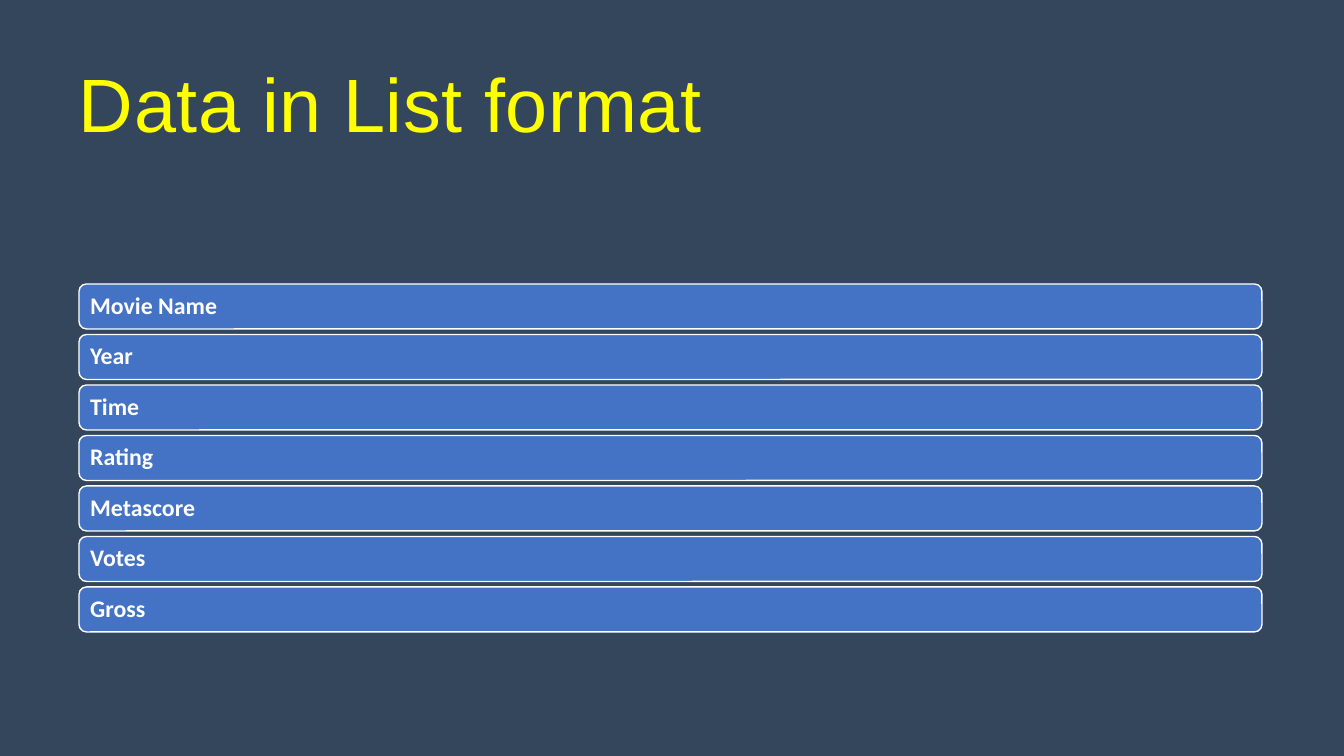
from pptx import Presentation
from pptx.dml.color import RGBColor
from pptx.enum.shapes import MSO_SHAPE
from pptx.enum.text import MSO_ANCHOR, PP_ALIGN
from pptx.util import Emu, Pt

ROUNDED = MSO_SHAPE.ROUNDED_RECTANGLE
TOP, MIDDLE = MSO_ANCHOR.TOP, MSO_ANCHOR.MIDDLE
LEFT = PP_ALIGN.LEFT
BLANK_LAYOUT = 6

SLIDE_WIDTH, SLIDE_HEIGHT = 1344, 756
EMU_PER_PX = 12192000 / SLIDE_WIDTH

MARGIN, CONTENT_WIDTH = 79, 1183
TITLE_TOP, TITLE_HEIGHT = 69, 163
FIRST_ROW_TOP, LAST_ROW_TOP, ROW_HEIGHT = 284, 587, 45

FIELDS = ["Movie Name", "Year", "Time", "Rating", "Metascore", "Votes", "Gross"]


def px(length):
    return Emu(round(length * EMU_PER_PX))


def color(hex_value):
    return RGBColor.from_string(hex_value)


class ListSlide:
    background = "33465B"
    title_color = "FFFF00"
    row_fill = "4472C4"
    row_ink = "FFFFFF"
    title_font = "Arial"
    row_font = "Calibri"

    def __init__(self, deck):
        self.slide = deck.slides.add_slide(deck.slide_layouts[BLANK_LAYOUT])
        fill = self.slide.background.fill
        fill.solid()
        fill.fore_color.rgb = color(self.background)

    def set_text(self, frame, text, font, size, ink, inset, anchor, spacing):
        """Fill a text frame with one left-aligned run and return the run."""
        frame.word_wrap = True
        frame.vertical_anchor = anchor
        frame.margin_left = frame.margin_right = px(inset)
        frame.margin_top = frame.margin_bottom = px(inset)
        paragraph = frame.paragraphs[0]
        paragraph.alignment = LEFT
        paragraph.line_spacing = spacing
        run = paragraph.add_run()
        run.text = text
        run.font.name = font
        run.font.size = Pt(size)
        run.font.color.rgb = color(ink)
        return run

    def title(self, text, left, top, width, height):
        heading = self.slide.shapes.add_textbox(px(left), px(top), px(width), px(height))
        run = self.set_text(heading.text_frame, text, self.title_font, 54,
                            self.title_color, 0, TOP, 0.88)
        run._r.get_or_add_rPr().set("spc", "40")

    def row(self, text, left, top, width, height):
        bar = self.slide.shapes.add_shape(ROUNDED, px(left), px(top), px(width), px(height))
        bar.shadow.inherit = False
        bar.fill.solid()
        bar.fill.fore_color.rgb = color(self.row_fill)
        bar.line.color.rgb = color(self.row_ink)
        bar.line.width = Pt(1)
        run = self.set_text(bar.text_frame, text, self.row_font, 17,
                            self.row_ink, 9, MIDDLE, 0.9)
        run.font.bold = True
        bar.text_frame.paragraphs[0].space_after = Pt(7)


def main():
    deck = Presentation()
    deck.slide_width, deck.slide_height = px(SLIDE_WIDTH), px(SLIDE_HEIGHT)
    page = ListSlide(deck)
    page.title("Data in List format", MARGIN, TITLE_TOP, CONTENT_WIDTH, TITLE_HEIGHT)
    pitch = (LAST_ROW_TOP - FIRST_ROW_TOP) / (len(FIELDS) - 1)
    for index, field in enumerate(FIELDS):
        page.row(field, MARGIN, FIRST_ROW_TOP + index * pitch, CONTENT_WIDTH, ROW_HEIGHT)
    deck.save("out.pptx")


if __name__ == "__main__":
    main()
